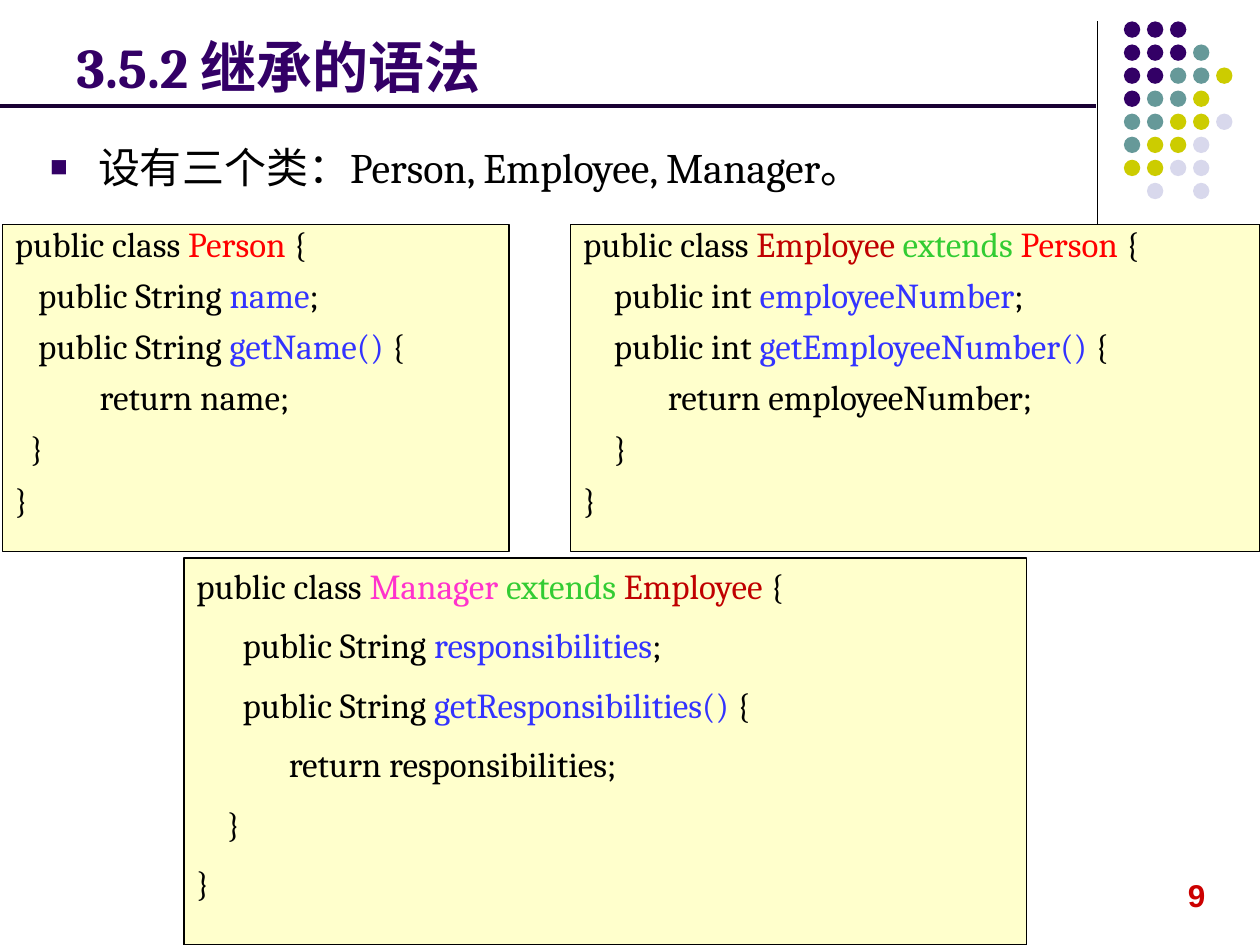
"""Build the slide on inheritance syntax, laid out on a grid of 100 columns by 75 rows."""
from dataclasses import dataclass, field

from lxml.etree import SubElement
from pptx import Presentation
from pptx.dml.color import RGBColor
from pptx.enum.shapes import MSO_CONNECTOR, MSO_SHAPE
from pptx.enum.text import MSO_ANCHOR, PP_ALIGN
from pptx.oxml.ns import qn
from pptx.util import Inches, Pt

BLACK = RGBColor(0x00, 0x00, 0x00)
WHITE = RGBColor(0xFF, 0xFF, 0xFF)
PURPLE = RGBColor(0x33, 0x00, 0x66)
NAVY = RGBColor(0x19, 0x00, 0x33)
TEAL = RGBColor(0x66, 0x99, 0x99)
OLIVE = RGBColor(0xCC, 0xCC, 0x00)
LAVENDER = RGBColor(0xD8, 0xD8, 0xEC)
CREAM = RGBColor(0xFF, 0xFF, 0xCC)
RED = RGBColor(0xFF, 0x00, 0x00)
DARK_RED = RGBColor(0xC0, 0x00, 0x00)
NUMBER_RED = RGBColor(0xCC, 0x00, 0x00)
GREEN = RGBColor(0x33, 0xCC, 0x33)
BLUE = RGBColor(0x33, 0x33, 0xFF)
PINK = RGBColor(0xFF, 0x33, 0xCC)

COLUMNS, ROWS = 100, 75
WIDTH, HEIGHT = Inches(10), Inches(7.5)
DOT_COLOURS = {"P": PURPLE, "T": TEAL, "O": OLIVE, "L": LAVENDER}
DOT_ROWS = ("PPP", "PPPT", "PPTTO", "PTTO", "TTOOL", "TOOL", "OOLL", " L L")
DOT_LEFT, DOT_TOP, DOT_SIZE, DOT_STEP = 89.2, 1.7, 1.3, 1.83


@dataclass(frozen=True)
class Frame:
    """A rectangle in grid columns and rows."""
    left: float
    top: float
    width: float
    height: float


@dataclass(frozen=True)
class Run:
    """A piece of text in one colour."""
    text: str
    colour: RGBColor = BLACK


@dataclass(frozen=True)
class CodeBox:
    """A class listing with its line spacing."""
    frame: Frame
    lines: tuple[tuple[Run, ...], ...]
    line_spacing: float = 1.0


@dataclass(frozen=True)
class Rule:
    """A straight line between two grid points."""
    start: tuple[float, float]
    end: tuple[float, float]
    colour: RGBColor
    weight: float


@dataclass(frozen=True)
class Label:
    """A one-line text box."""
    frame: Frame
    run: Run
    font: dict = field(default_factory=dict)
    layout: dict = field(default_factory=dict)
    bulleted: bool = False


CODE_FONT = {"name": "Cambria", "size": Pt(20)}
CODE_BOXES = (
    CodeBox(Frame(0.2, 17.8, 40.2, 26), (
        (Run("public class "), Run("Person", RED), Run(" {")),
        (Run("   public String "), Run("name", BLUE), Run(";")),
        (Run("   public String "), Run("getName() ", BLUE), Run("{")),
        (Run("           return name;"),),
        (Run("  }"),),
        (Run("}"),),
    ), 0.8),
    CodeBox(Frame(45.3, 17.8, 54.7, 26), (
        (Run("public class "), Run("Employee ", DARK_RED), Run("extends ", GREEN),
         Run("Person ", RED), Run("{")),
        (Run("    public int "), Run("employeeNumber", BLUE), Run(";")),
        (Run("    public int "), Run("getEmployeeNumber() ", BLUE), Run("{")),
        (Run("           return employeeNumber;"),),
        (Run("    }"),),
        (Run("}"),),
    ), 0.8),
    CodeBox(Frame(14.6, 44.3, 66.9, 30.7), (
        (Run("public class "), Run("Manager ", PINK), Run("extends ", GREEN),
         Run("Employee", DARK_RED), Run(" {")),
        (Run("      public String "), Run("responsibilities", BLUE), Run(";")),
        (Run("      public String "), Run("getResponsibilities() ", BLUE), Run("{")),
        (Run("            return responsibilities;"),),
        (Run("    }"),),
        (Run("}"),),
    )),
)
LABELS = (
    Label(Frame(93.3, 69, 4.8, 4), Run("9", NUMBER_RED),
          {"name": "Arial", "size": Pt(18), "bold": True}, {"word_wrap": False}),
    Label(Frame(3, 10.7, 90, 5.5), Run("设有三个类：Person, Employee, Manager。"),
          {"name": "Cambria", "size": Pt(24)}, {"word_wrap": True}, bulleted=True),
    Label(Frame(5.1, 0.5, 82.5, 7.9), Run("3.5.2 继承的语法", PURPLE),
          {"name": "Cambria", "size": Pt(32), "bold": True},
          {"word_wrap": True, "vertical_anchor": MSO_ANCHOR.BOTTOM}),
)
RULES = (
    Rule((87.1, 1.7), (87.1, 18.3), BLACK, 0.75),
    Rule((0, 8.4), (87, 8.4), NAVY, 2.25),
)


def x(columns: float) -> int:
    """Convert grid columns to a length."""
    return round(WIDTH * columns / COLUMNS)


def y(rows: float) -> int:
    """Convert grid rows to a length."""
    return round(HEIGHT * rows / ROWS)


def place(f: Frame) -> tuple[int, int, int, int]:
    """Convert a frame to left, top, width and height."""
    return x(f.left), y(f.top), x(f.width), y(f.height)


def apply(target, values: dict) -> None:
    """Set each named attribute on the target."""
    for name, value in values.items():
        setattr(target, name, value)


def add_run(p, run: Run, font: dict) -> None:
    """Append a formatted run to a paragraph."""
    r = p.add_run()
    r.text = run.text
    apply(r.font, font)
    r.font.color.rgb = run.colour


def add_bullet(p) -> None:
    """Give a paragraph a small square bullet with a hanging indent."""
    pPr = p._p.get_or_add_pPr()
    pPr.set("marL", str(x(3.8)))
    pPr.set("indent", str(-x(3.8)))
    SubElement(SubElement(pPr, qn("a:buClr")), qn("a:srgbClr"), val=str(PURPLE))
    SubElement(pPr, qn("a:buSzPct"), val="70000")
    SubElement(pPr, qn("a:buFont"), typeface="Arial")
    SubElement(pPr, qn("a:buChar"), char="■")


def add_label(s, label: Label) -> None:
    """Add a one-line text box."""
    tf = s.shapes.add_textbox(*place(label.frame)).text_frame
    apply(tf, label.layout)
    p = tf.paragraphs[0]
    if label.bulleted:
        add_bullet(p)
    add_run(p, label.run, label.font)


def add_code_box(s, box: CodeBox) -> None:
    """Add a bordered box holding a class listing."""
    sp = s.shapes.add_shape(MSO_SHAPE.RECTANGLE, *place(box.frame))
    sp.shadow.inherit = False
    sp.fill.solid()
    sp.fill.fore_color.rgb = CREAM
    sp.line.color.rgb = BLACK
    sp.line.width = Pt(0.75)
    tf = sp.text_frame
    apply(tf, {"word_wrap": False, "vertical_anchor": MSO_ANCHOR.TOP})
    for i, line in enumerate(box.lines):
        p = tf.add_paragraph() if i else tf.paragraphs[0]
        apply(p, {"alignment": PP_ALIGN.LEFT, "line_spacing": box.line_spacing,
                  "space_before": Pt(10 if i else 0)})
        for run in line:
            add_run(p, run, CODE_FONT)


def add_rule(s, rule: Rule) -> None:
    """Add a straight line without a shadow."""
    (x1, y1), (x2, y2) = rule.start, rule.end
    cn = s.shapes.add_connector(MSO_CONNECTOR.STRAIGHT, x(x1), y(y1), x(x2), y(y2))
    cn.line.color.rgb = rule.colour
    cn.line.width = Pt(rule.weight)
    SubElement(cn._element.spPr, qn("a:effectLst"))


def add_dots(s) -> None:
    """Add the grouped corner pattern of coloured dots."""
    group = s.shapes.add_group_shape()
    for row, keys in enumerate(DOT_ROWS):
        for col, key in enumerate(keys):
            if key in DOT_COLOURS:
                f = Frame(DOT_LEFT + col * DOT_STEP, DOT_TOP + row * DOT_STEP, DOT_SIZE, DOT_SIZE)
                sp = group.shapes.add_shape(MSO_SHAPE.OVAL, *place(f))
                sp.shadow.inherit = False
                sp.fill.solid()
                sp.fill.fore_color.rgb = DOT_COLOURS[key]
                sp.line.fill.background()


def main() -> None:
    """Build and save the presentation."""
    prs = Presentation()
    apply(prs, {"slide_width": WIDTH, "slide_height": HEIGHT})
    s = prs.slides.add_slide(prs.slide_layouts[6])
    s.background.fill.solid()
    s.background.fill.fore_color.rgb = WHITE
    for rule in RULES:
        add_rule(s, rule)
    add_dots(s)
    for label in LABELS:
        add_label(s, label)
    for box in CODE_BOXES:
        add_code_box(s, box)
    prs.save("out.pptx")


if __name__ == "__main__":
    main()
